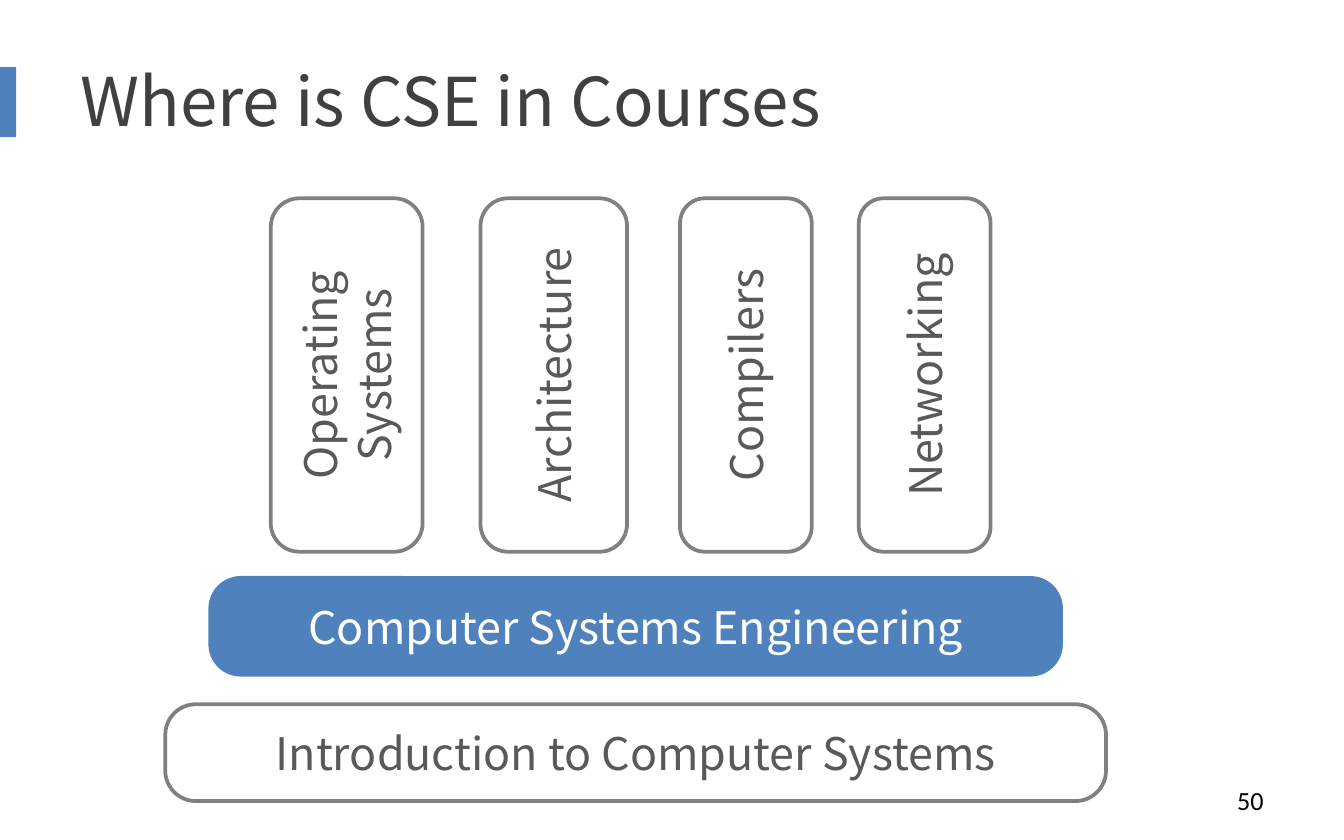
from dataclasses import dataclass

from pptx import Presentation
from pptx.dml.color import RGBColor
from pptx.enum.shapes import MSO_SHAPE
from pptx.enum.text import MSO_ANCHOR, PP_ALIGN
from pptx.util import Inches, Pt

RECT = MSO_SHAPE.RECTANGLE
ROUNDED = MSO_SHAPE.ROUNDED_RECTANGLE
MIDDLE = MSO_ANCHOR.MIDDLE
LEFT, CENTER, RIGHT = PP_ALIGN.LEFT, PP_ALIGN.CENTER, PP_ALIGN.RIGHT

COLORS = {
    "accent": "4F81BD",
    "title": "404040",
    "text": "595959",
    "outline": "808080",
    "white": "FFFFFF",
    "black": "000000",
}
HEADING_FONT = "Noto Sans CJK SC"
NUMBER_FONT = "Calibri"

PILLAR_LENGTH = 2.63
PILLAR_MIDDLE = 2.79
BAR_HEIGHT = 0.72


@dataclass
class Block:
    text: str
    center_x: float
    center_y: float
    width: float
    height: float
    corner: float
    rotation: int = 0
    fill: str = "white"
    line: str = "outline"
    color: str = "text"


def pillar(text: str, center_x: float, thickness: float) -> Block:
    return Block(text, center_x, PILLAR_MIDDLE, PILLAR_LENGTH, thickness, 0.188, 270)


def bar(text: str, center_x: float, top: float, width: float, **style: str) -> Block:
    return Block(text, center_x, top + BAR_HEIGHT / 2, width, BAR_HEIGHT, 0.316, **style)


BLOCKS = [
    bar("Introduction to Computer Systems", 4.73, 5.24, 7),
    pillar("Operating Systems", 2.58, 1.13),
    pillar("Architecture", 4.12, 1.09),
    pillar("Compilers", 5.55, 0.98),
    pillar("Networking", 6.88, 0.98),
    bar("Computer Systems Engineering", 4.73, 4.3, 6.33,
        fill="accent", line="accent", color="white"),
]


def rgb(name: str) -> RGBColor:
    return RGBColor.from_string(COLORS[name])


def write(shape, text: str, size: float, color: str, align, font: str = HEADING_FONT) -> None:
    tf = shape.text_frame
    for name, value in {"word_wrap": True, "vertical_anchor": MIDDLE}.items():
        setattr(tf, name, value)
    p = tf.paragraphs[0]
    p.alignment = align
    r = p.add_run()
    r.text = text
    for name, value in {"name": font, "size": Pt(size)}.items():
        setattr(r.font, name, value)
    r.font.color.rgb = rgb(color)


def add_title(s, text: str) -> None:
    title = s.shapes.title
    box = {"left": 0.5, "top": 0.25, "width": 9, "height": 0.98}
    for name, value in box.items():
        setattr(title, name, Inches(value))
    write(title, text, 36, "title", LEFT)


def add_accent(s) -> None:
    sp = s.shapes.add_shape(RECT, Inches(-0.06), Inches(0.5), Inches(0.18), Inches(0.52))
    sp.shadow.inherit = False
    sp.fill.solid()
    sp.fill.fore_color.rgb = rgb("accent")
    sp.line.fill.background()


def add_block(s, block: Block) -> None:
    left = block.center_x - block.width / 2
    top = block.center_y - block.height / 2
    sp = s.shapes.add_shape(ROUNDED, Inches(left), Inches(top),
                            Inches(block.width), Inches(block.height))
    sp.adjustments[0] = block.corner
    sp.rotation = block.rotation
    sp.shadow.inherit = False
    sp.fill.solid()
    sp.fill.fore_color.rgb = rgb(block.fill)
    sp.line.color.rgb = rgb(block.line)
    sp.line.width = Pt(2)
    write(sp, block.text, 24, block.color, CENTER)


def add_page_number(s, number: str) -> None:
    sp = s.shapes.add_textbox(Inches(7.17), Inches(5.79), Inches(2.33), Inches(0.33))
    write(sp, number, 14, "black", RIGHT, NUMBER_FONT)


def main() -> None:
    prs = Presentation()
    prs.slide_width = Inches(10)
    prs.slide_height = Inches(6.25)
    s = prs.slides.add_slide(prs.slide_layouts[5])
    add_accent(s)
    add_title(s, "Where is CSE in Courses")
    add_page_number(s, "50")
    for block in BLOCKS:
        add_block(s, block)
    prs.save("out.pptx")


if __name__ == "__main__":
    main()
